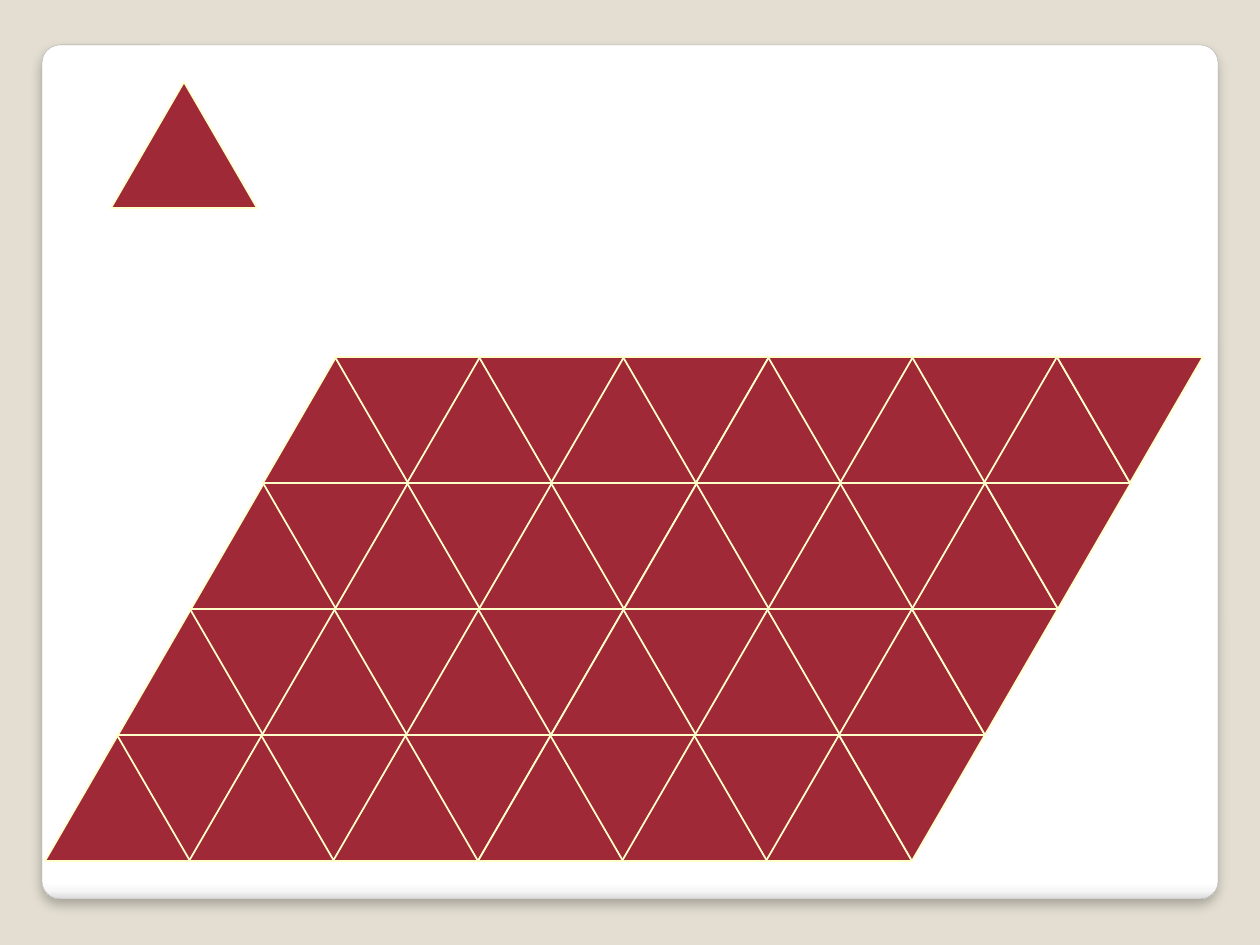
from lxml import etree
from pptx import Presentation
from pptx import util as u
from pptx.dml.color import RGBColor
from pptx.enum import shapes
from pptx.oxml import parse_xml
from pptx.oxml.ns import nsdecls

SCALE = 914400 // 126
ROWS, COLUMNS = 4, 12
TILE_WIDTH, TILE_HEIGHT = 146, 126
GRID_LEFT, GRID_TOP = 263, 357


def px(length):
    return u.Emu(length * 914400 // 126)


def color(value):
    return RGBColor.from_string(value)


class Tiling:
    tile_fill = "9F2936"
    tile_line = "FFFFCC"
    card_line = "A4A4A4"
    background = "E3DED1"
    card_stops = ((0, "FFFFFF"), (98, "FFFFFF"), (99, "F7F7F7"), (100, "DADADA"))

    def __init__(self, page):
        self.page = page
        page.background.fill.solid()
        page.background.fill.fore_color.rgb = color(self.background)

    def card(self, left, top, width, height):
        box = self.page.shapes.add_shape(
            shapes.MSO_SHAPE.ROUNDED_RECTANGLE, px(left), px(top), px(width), px(height))
        box.adjustments[0] = 0.021
        box.line.color.rgb = color(self.card_line)
        box.line.width = u.Pt(0.16)
        box.fill.gradient()
        box.fill.gradient_angle = 270
        stop_list = box.element.spPr.find(".//{*}gsLst")
        for stop in list(stop_list):
            stop_list.remove(stop)
        for position, value in self.card_stops:
            stop_list.append(parse_xml(
                f'<a:gs {nsdecls("a")} pos="{position * 1000}"><a:srgbClr val="{value}"/></a:gs>'))
        box.shadow.inherit = False
        effects = box.element.spPr.find("{*}effectLst")
        effects.append(parse_xml(
            f'<a:outerShdw {nsdecls("a")} blurRad="{u.Pt(6)}" dist="{u.Pt(4)}" dir="5400000" '
            'algn="t" rotWithShape="0"><a:srgbClr val="000000"><a:alpha val="25000"/>'
            '</a:srgbClr></a:outerShdw>'))

    def triangle(self, left, top, parent=None, inverted=False):
        tile = (parent or self.page).shapes.add_shape(
            shapes.MSO_SHAPE.ISOSCELES_TRIANGLE,
            px(left), px(top), px(TILE_WIDTH), px(TILE_HEIGHT))
        tile.shadow.inherit = False
        tile.fill.solid()
        tile.fill.fore_color.rgb = color(self.tile_fill)
        tile.line.color.rgb = color(self.tile_line)
        tile.line.width = u.Pt(1)
        if inverted:
            frame = tile.element.spPr.get_or_add_xfrm()
            frame.set("flipH", "1")
            frame.set("flipV", "1")

    def row(self, left, top):
        group = self.page.shapes.add_group_shape()
        for column in range(COLUMNS):
            self.triangle(left + 794 * column // 11, top, group, column % 2 == 1)


def main():
    deck = Presentation()
    deck.slide_width, deck.slide_height = px(1260), px(945)
    tiling = Tiling(deck.slides.add_slide(deck.slide_layouts[6]))
    tiling.card(42, 45, 1176, 854)
    tiling.triangle(111, 82)
    for row in range(ROWS):
        tiling.row(GRID_LEFT - 218 * row // 3, GRID_TOP + TILE_HEIGHT * row)
    deck.save("out.pptx")


if __name__ == "__main__":
    main()
